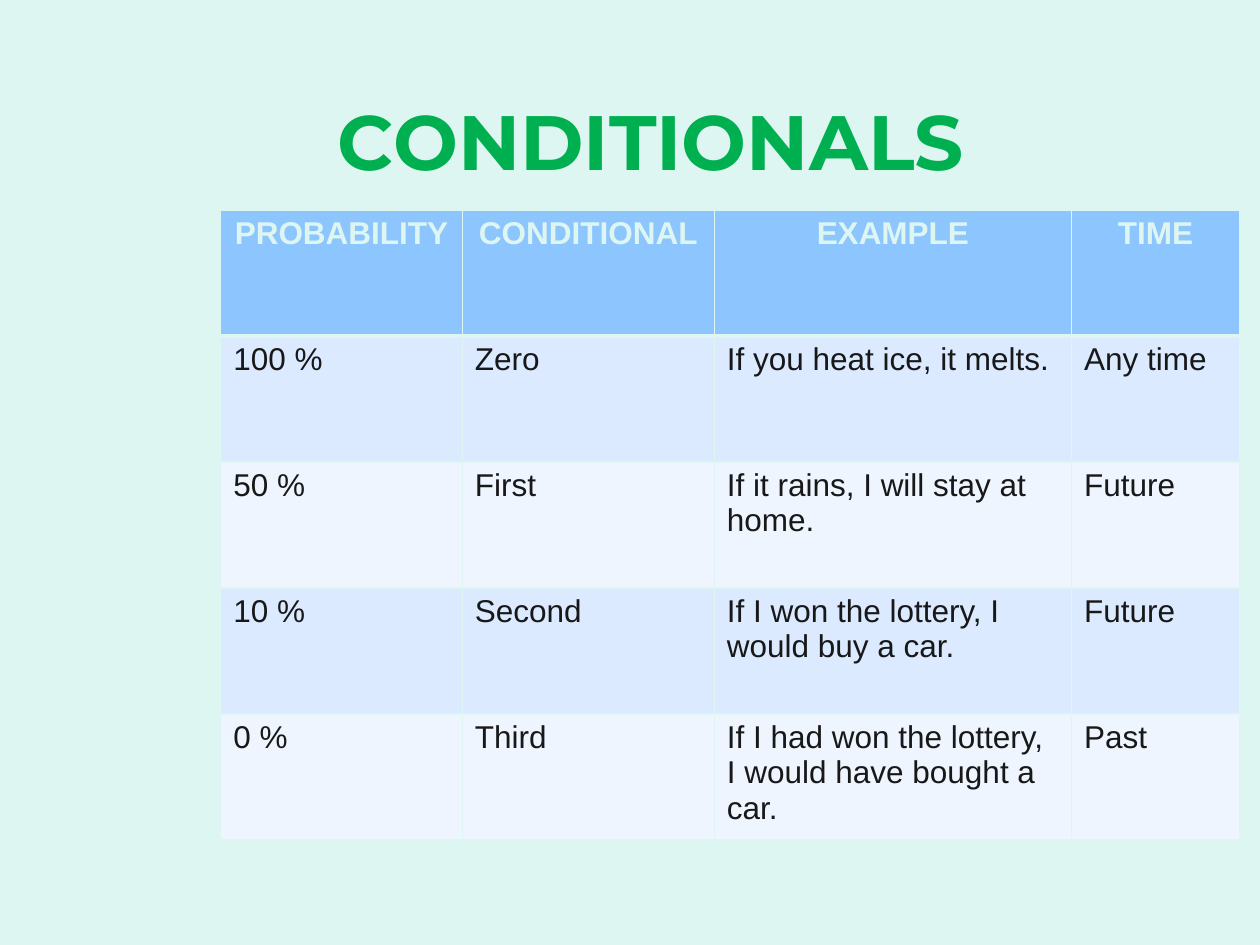
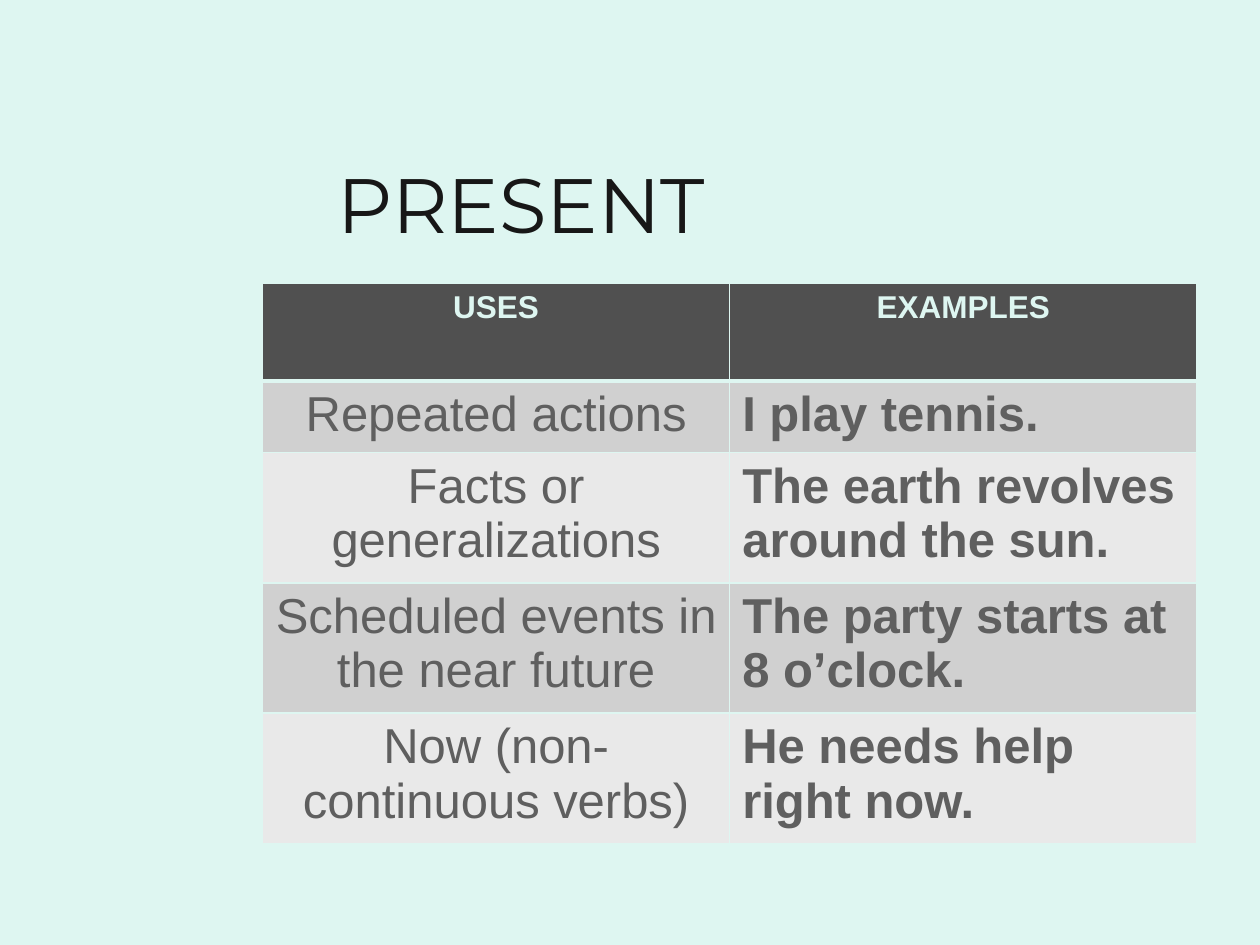
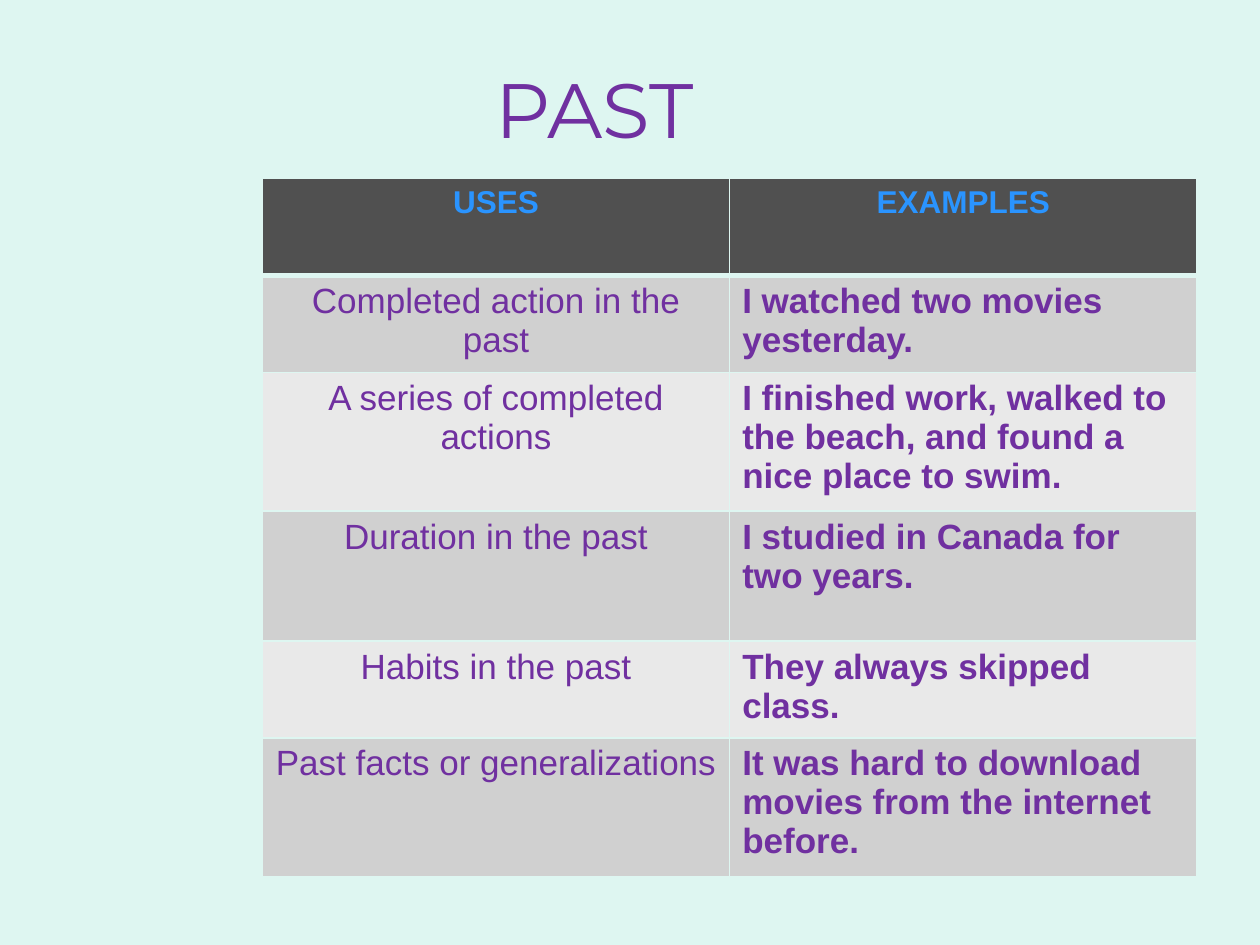
from dataclasses import dataclass

from lxml.etree import SubElement
from pptx import Presentation
from pptx.dml.color import RGBColor
from pptx.enum.text import MSO_ANCHOR, PP_ALIGN
from pptx.oxml.ns import qn
from pptx.util import Cm, Pt


@dataclass(frozen=True)
class Theme:
    mint: str = "DEF6F1"
    green: str = "00B050"
    purple: str = "7030A0"
    ink: str = "181818"
    title_ink: str = "171717"
    grey_text: str = "5F5F5F"
    bright_blue: str = "2A94FF"
    # Table fills: header, odd rows, even rows
    blue_bands: tuple = ("8DC6FF", "DBEAFF", "EEF5FF")
    grey_bands: tuple = ("505050", "D0D0D0", "E9E9E9")
    title_font: str = "Montserrat"
    body_font: str = "Arial"
    title_size: int = 44
    header_size: int = 18
    thin_rule: int = 1
    thick_rule: int = 3


THEME = Theme()
USES_HEADER = ("USES", "EXAMPLES")
USES_COLUMNS = (9.42, 9.42)
USES_LEFT = 5.29


@dataclass(frozen=True)
class TextStyle:
    size: int
    color: str
    bold: bool = False
    align: PP_ALIGN = PP_ALIGN.LEFT
    font: str = THEME.body_font


def write(text_frame, text, style):
    text_frame.text = text
    paragraph = text_frame.paragraphs[0]
    paragraph.alignment = style.align
    font = paragraph.runs[0].font
    font.name = style.font
    font.size = Pt(style.size)
    font.bold = style.bold
    font.color.rgb = RGBColor.from_string(style.color)


def add_slide(prs):
    slide = prs.slides.add_slide(prs.slide_layouts[6])
    slide.background.fill.solid()
    slide.background.fill.fore_color.rgb = RGBColor.from_string(THEME.mint)
    return slide


def add_title(slide, text, left, top, color, bold=False):
    title = slide.shapes.add_textbox(Cm(left), Cm(top), Cm(18.84), Cm(2.66))
    title.text_frame.word_wrap = True
    title.text_frame.vertical_anchor = MSO_ANCHOR.MIDDLE
    write(title.text_frame, text,
          TextStyle(THEME.title_size, color, bold, font=THEME.title_font))


def rule_cell(cell, top, bottom):
    """Draw the four mint borders; must come before the cell's fill."""
    properties = cell._tc.get_or_add_tcPr()
    widths = {"a:lnL": THEME.thin_rule, "a:lnR": THEME.thin_rule,
              "a:lnT": top, "a:lnB": bottom}
    for side, width in widths.items():
        line = SubElement(properties, qn(side), w=str(Pt(width)))
        fill = SubElement(line, qn("a:solidFill"))
        SubElement(fill, qn("a:srgbClr"), val=THEME.mint)


def add_banded_table(slide, left, top, columns, heights, rows, bands,
                     header_color, body_styles):
    """The first row is the header; body_styles holds one style per column."""
    table = slide.shapes.add_table(
        len(rows), len(columns), Cm(left), Cm(top),
        Cm(sum(columns)), Cm(sum(heights))).table
    for column, width in zip(table.columns, columns):
        column.width = Cm(width)
    for row, height in zip(table.rows, heights):
        row.height = Cm(height)

    header_style = TextStyle(THEME.header_size, header_color, True, PP_ALIGN.CENTER)
    header_fill, *body_fills = bands
    for r, texts in enumerate(rows):
        is_header = r == 0
        band = header_fill if is_header else body_fills[(r - 1) % 2]
        for c, text in enumerate(texts):
            cell = table.cell(r, c)
            rule_cell(cell,
                      top=THEME.thick_rule if r == 1 else THEME.thin_rule,
                      bottom=THEME.thick_rule if is_header else THEME.thin_rule)
            cell.fill.solid()
            cell.fill.fore_color.rgb = RGBColor.from_string(band)
            write(cell.text_frame, text, header_style if is_header else body_styles[c])


def add_uses_table(slide, top, heights, uses, size, color, header_color):
    """Two columns: centred uses and bold examples."""
    add_banded_table(
        slide, USES_LEFT, top, USES_COLUMNS, heights, [USES_HEADER, *uses],
        THEME.grey_bands, header_color,
        (TextStyle(size, color, align=PP_ALIGN.CENTER), TextStyle(size, color, True)))


def build_conditionals(prs):
    slide = add_slide(prs)
    add_title(slide, "CONDITIONALS", 6.56, 1.48, THEME.green, bold=True)
    conditionals = [
        ("PROBABILITY", "CONDITIONAL", "EXAMPLE", "TIME"),
        ("100 %", "Zero", "If you heat ice, it melts.", "Any time"),
        ("50 %", "First", "If it rains, I will stay at home.", "Future"),
        ("10 %", "Second", "If I won the lottery, I would buy a car.", "Future"),
        ("0 %", "Third", "If I had won the lottery, I would have bought a car.", "Past"),
    ]
    columns = (4.87, 5.08, 7.2, 3.39)
    add_banded_table(slide, 4.45, 4.23, columns, [2.54] * len(conditionals),
                     conditionals, THEME.blue_bands, THEME.mint,
                     [TextStyle(18, THEME.ink)] * len(columns))


def build_present(prs):
    slide = add_slide(prs)
    add_title(slide, "PRESENT", 6.56, 2.75, THEME.title_ink)
    present_uses = [
        ("Repeated actions", "I play tennis."),
        ("Facts or generalizations", "The earth revolves around the sun."),
        ("Scheduled events in the near future", "The party starts at 8 o’clock."),
        ("Now (non-continuous verbs)", "He needs help right now."),
    ]
    add_uses_table(slide, 5.72, (1.96, 1.42, 2.11, 1.91, 1.96), present_uses,
                   28, THEME.grey_text, THEME.mint)


def build_past(prs):
    slide = add_slide(prs)
    add_title(slide, "PAST", 9.74, 0.85, THEME.purple)
    past_uses = [
        ("Completed action in the past", "I watched two movies yesterday."),
        ("A series of completed actions",
         "I finished work, walked to the beach, and found a nice place to swim."),
        ("Duration in the past", "I studied in Canada for two years."),
        ("Habits in the past", "They always skipped class."),
        ("Past facts or generalizations",
         "It was hard to download movies from the internet before."),
    ]
    add_uses_table(slide, 3.6, (1.96, 1.85, 2.62, 2.62, 1.52, 1.96), past_uses,
                   20, THEME.purple, THEME.bright_blue)


def main():
    prs = Presentation()
    prs.slide_width, prs.slide_height = Cm(25.4), Cm(19.05)
    build_conditionals(prs)
    build_present(prs)
    build_past(prs)
    prs.save("out.pptx")


if __name__ == "__main__":
    main()
